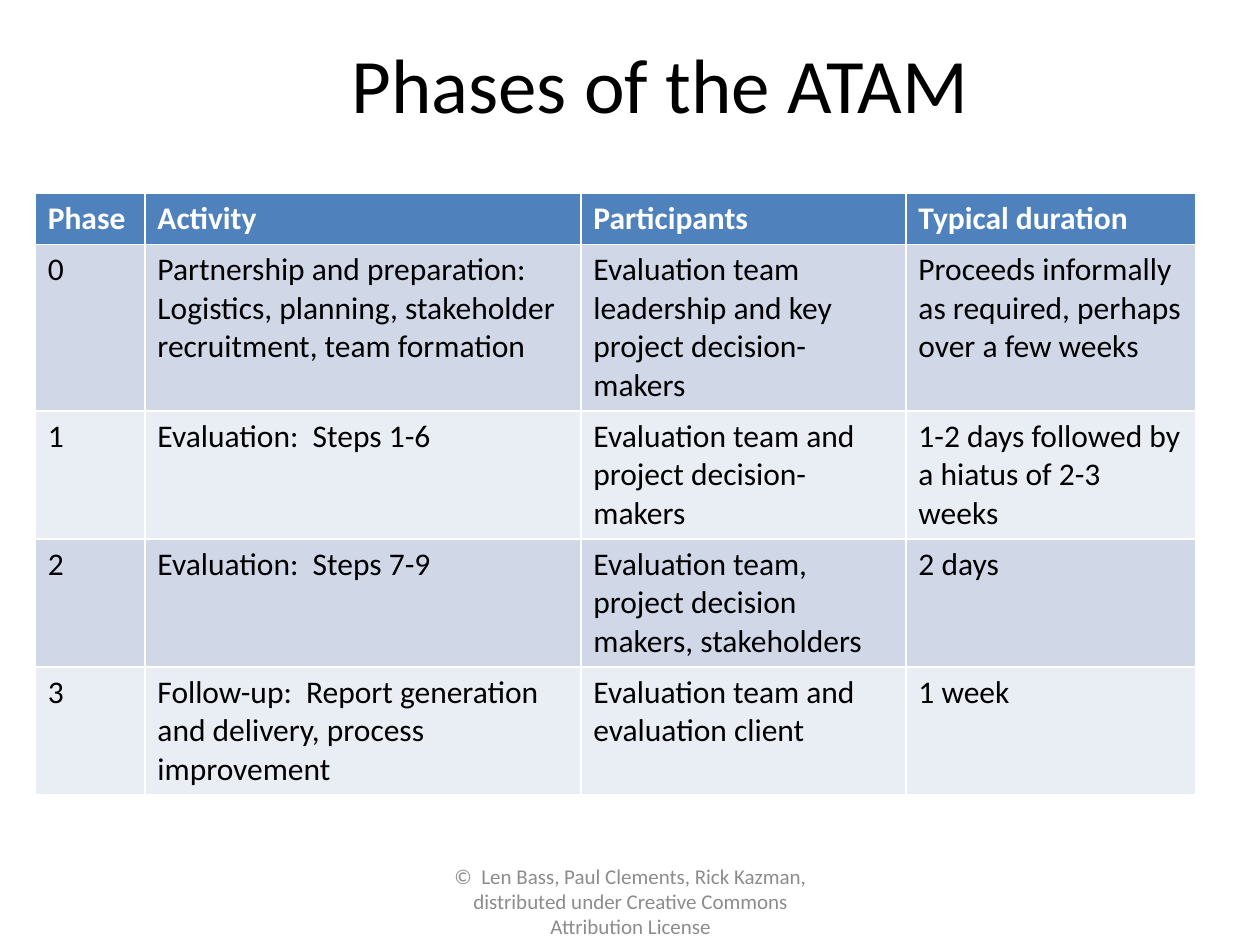
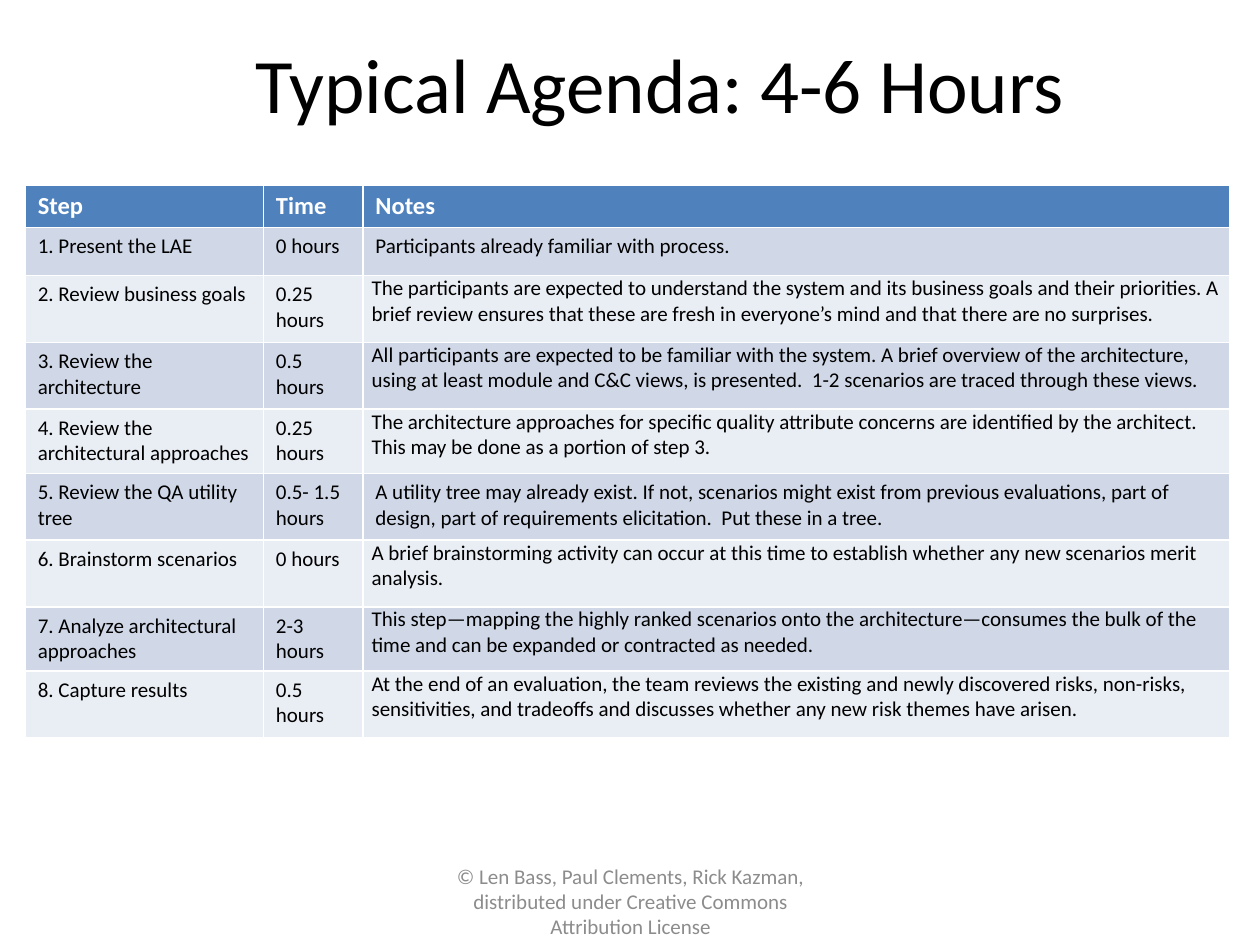
from pptx import Presentation
from pptx.dml.color import RGBColor
from pptx.enum import text
from pptx.util import Inches, Pt

COLORS = {"ink": "000000", "header": "4F81BD", "header_text": "FFFFFF",
          "odd_row": "D0D8E8", "even_row": "E9EDF4", "footer": "8C8C8C"}
FONT = "Calibri"
CREDIT = "Len Bass, Paul Clements, Rick Kazman, distributed under Creative Commons Attribution License"

phases = [
    ("Phase", "Activity", "Participants", "Typical duration"),
    ("0", "Partnership and preparation:  Logistics, planning, stakeholder recruitment, team formation",
     "Evaluation team leadership and key project decision-makers",
     "Proceeds informally as required, perhaps over a few weeks"),
    ("1", "Evaluation:  Steps 1-6", "Evaluation team and project decision-makers",
     "1-2 days followed by a hiatus of 2-3 weeks"),
    ("2", "Evaluation:  Steps 7-9", "Evaluation team, project decision makers, stakeholders", "2 days"),
    ("3", "Follow-up:  Report generation and delivery, process improvement",
     "Evaluation team and evaluation client", "1 week"),
]
agenda = [
    ("Step", "Time", "Notes"),
    ("1. Present the LAE", "0 hours", "Participants already familiar with process."),
    ("2. Review business goals", "0.25 hours",
     "The participants are expected to understand the system and its business goals and their priorities. "
     "A brief review ensures that these are fresh in everyone’s mind and that there are no surprises."),
    ("3. Review the architecture", "0.5 hours",
     "All participants are expected to be familiar with the system. A brief overview of the architecture, "
     "using at least module and C&C views, is presented.  1-2 scenarios are traced through these views."),
    ("4. Review the architectural approaches", "0.25 hours",
     "The architecture approaches for specific quality attribute concerns are identified by the architect. "
     "This may be done as a portion of step 3."),
    ("5. Review the QA utility tree", "0.5- 1.5 hours",
     "A utility tree may already exist. If not, scenarios might exist from previous evaluations, "
     "part of design, part of requirements elicitation.  Put these in a tree."),
    ("6. Brainstorm scenarios", "0 hours",
     "A brief brainstorming activity can occur at this time to establish whether any new scenarios merit analysis."),
    ("7. Analyze architectural approaches", "2-3 hours",
     "This step—mapping the highly ranked scenarios onto the architecture—consumes the bulk of the time "
     "and can be expanded or contracted as needed."),
    ("8. Capture results", "0.5 hours",
     "At the end of an evaluation, the team reviews the existing and newly discovered risks, non-risks, "
     "sensitivities, and tradeoffs and discusses whether any new risk themes have arisen."),
]
slides = [
    dict(title="Phases of the ATAM", credit="©  " + CREDIT, rows=phases, origin=(0.28, 1.53),
         widths=[0.87, 3.46, 2.58, 2.3], heights=[0.41, 1.32, 1.01, 1.01, 1.01],
         header_size=18, body_size=18, tight_notes=()),
    dict(title="Typical Agenda: 4-6 Hours", credit="© " + CREDIT, rows=agenda, origin=(0.2, 1.47),
         widths=[1.89, 0.79, 6.88], heights=[0.33, 0.38, 0.53, 0.53, 0.51, 0.53, 0.53, 0.51, 0.53],
         header_size=14, body_size=12, tight_notes=(2, 3, 4, 6, 7, 8)),
]


def style(paragraph, size, color, bold=False):
    paragraph.font.name = FONT
    paragraph.font.size = Pt(size)
    paragraph.font.bold = bold
    paragraph.font.color.rgb = RGBColor.from_string(COLORS[color])


def set_centered(shape, wording, size, color):
    frame = shape.text_frame
    frame.text = wording
    frame.word_wrap = True
    frame.auto_size = text.MSO_AUTO_SIZE.NONE
    frame.vertical_anchor = text.MSO_ANCHOR.MIDDLE
    paragraph = frame.paragraphs[0]
    paragraph.alignment = text.PP_ALIGN.CENTER
    style(paragraph, size, color)
    return paragraph


prs = Presentation()
prs.slide_width, prs.slide_height = Inches(10), Inches(7.5)

for content in slides:
    slide = prs.slides.add_slide(prs.slide_layouts[5])
    title = slide.shapes.title
    title.left, title.top, title.width, title.height = map(Inches, (0.98, 0.3, 8.52, 0.85))
    set_centered(title, content["title"], 44, "ink").line_spacing = 0.8

    footer = slide.shapes.add_textbox(*map(Inches, (3.42, 6.95, 3.17, 0.4)))
    set_centered(footer, content["credit"], 12, "footer")

    rows, widths, heights = content["rows"], content["widths"], content["heights"]
    table = slide.shapes.add_table(len(rows), len(widths), *map(Inches, content["origin"]),
                                   Inches(sum(widths)), Inches(sum(heights))).table
    for column, width in zip(table.columns, widths):
        column.width = Inches(width)
    for r, entries in enumerate(rows):
        table.rows[r].height = Inches(heights[r])
        band = "header" if r == 0 else "odd_row" if r % 2 else "even_row"
        for c, entry in enumerate(entries):
            cell = table.cell(r, c)
            cell.text = entry
            cell.fill.solid()
            cell.fill.fore_color.rgb = RGBColor.from_string(COLORS[band])
            paragraph = cell.text_frame.paragraphs[0]
            if r == 0:
                style(paragraph, content["header_size"], "header_text", True)
            else:
                style(paragraph, content["body_size"], "ink")
            if r in content["tight_notes"] and c == len(entries) - 1:
                cell.margin_left = cell.margin_right = Inches(0.07)
                cell.margin_top = cell.margin_bottom = 0
                paragraph.space_after = Pt(4)

prs.save("out.pptx")
